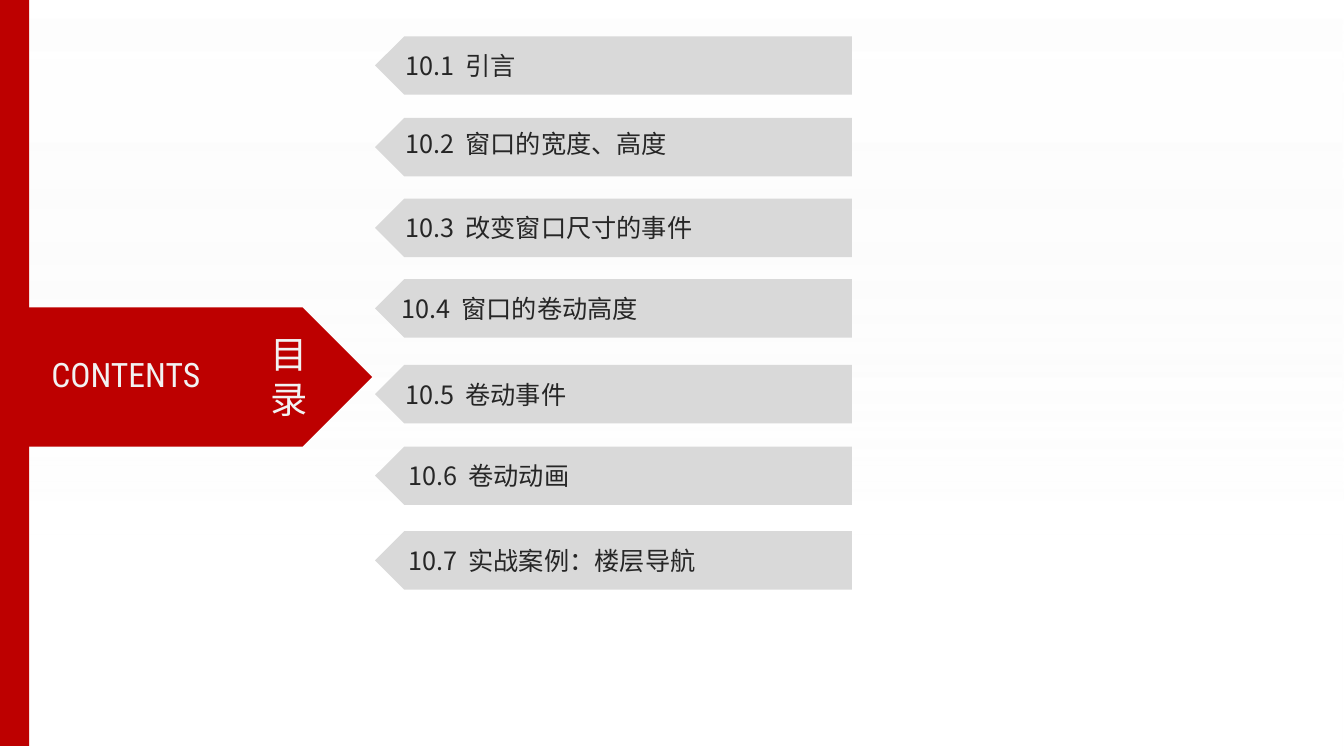
from lxml.etree import SubElement
from pptx import Presentation
from pptx.dml.color import RGBColor
from pptx.enum.shapes import MSO_SHAPE
from pptx.enum.text import MSO_ANCHOR, PP_ALIGN
from pptx.oxml.ns import qn
from pptx.util import Inches, Pt

COLORS = {"red": "BD0000", "bar": "D9D9D9", "ink": "262626", "light": "F2F2F2", "white": "FFFFFF"}
CHINESE_FONT = "Noto Sans CJK SC"
LATIN_FONT = "Roboto Condensed"

CHAPTERS = [
    ("10.1", "引言", 0.36, 0.3, 0.14),
    ("10.2", "窗口的宽度、高度", 1.17, 0.3, 0.1),
    ("10.3", "改变窗口尺寸的事件", 1.97, 0.3, 0.14),
    ("10.4", "窗口的卷动高度", 2.77, 0.26, 0.14),
    ("10.5", "卷动事件", 3.62, 0.3, 0.14),
    ("10.6", "卷动动画", 4.43, 0.33, 0.14),
    ("10.7", "实战案例：楼层导航", 5.27, 0.33, 0.14),
]


def add_block(slide, kind, box, color):
    """Add a plain filled shape in the given box."""
    shape = slide.shapes.add_shape(kind, *map(Inches, box))
    shape.shadow.inherit = False
    shape.line.fill.background()
    shape.fill.solid()
    shape.fill.fore_color.rgb = RGBColor.from_string(COLORS[color])
    return shape


def add_text(slide, box, pieces, size, color, font=CHINESE_FONT, inset=(0, 0), spacing=None):
    """Add one paragraph made of (text, tracking) pieces and return it."""
    frame = slide.shapes.add_textbox(*map(Inches, box)).text_frame
    frame.word_wrap = True
    frame.vertical_anchor = MSO_ANCHOR.TOP
    frame.margin_left = frame.margin_right = Inches(inset[0])
    frame.margin_top = frame.margin_bottom = Inches(inset[1])
    paragraph = frame.paragraphs[0]
    paragraph.line_spacing = spacing
    for text, tracking in pieces:
        run = paragraph.add_run()
        run.text = text
        run.font.size = Pt(size)
        run.font.name = font
        run.font.color.rgb = RGBColor.from_string(COLORS[color])
        properties = run.font._element
        SubElement(properties, qn("a:ea")).set("typeface", font)
        if tracking:
            properties.set("spc", str(tracking))
    return paragraph


def add_backdrop(slide, box):
    """Fill the box with a soft gradient that fades out downwards."""
    shape = add_block(slide, MSO_SHAPE.RECTANGLE, box, "white")
    shape.fill.gradient()
    shape.fill.gradient_angle = 270
    stops = shape.fill.gradient_stops
    for stop, color, position, alpha in zip(stops, ("white", "light"), (0, 0.71), (55000, 0)):
        stop.color.rgb = RGBColor.from_string(COLORS[color])
        stop.position = position
        SubElement(stop._gs[0], qn("a:alpha")).set("val", str(alpha))


def add_contents_banner(slide, box):
    """Draw the red arrow with its two headings."""
    left, top, width, height = box
    add_block(slide, MSO_SHAPE.PENTAGON, box, "red")
    add_text(slide, (left + 0.51, top + 0.46, 1.8, 0.4), [("CONTENTS", 0)], 24, "light", LATIN_FONT)
    heading = add_text(slide, (left + 2.57, top + 0.19, 0.59, 0.55), [("目录", 0)], 26.6, "light",
                       inset=(0.1, 0.05))
    heading.alignment = PP_ALIGN.CENTER


def add_chapter(slide, box, number, title, indent, drop):
    """Draw one grey bar pointing left with its chapter label."""
    left, top, width, height = box
    bar = add_block(slide, MSO_SHAPE.PENTAGON, box, "bar")
    bar._element.spPr.find(qn("a:xfrm")).set("flipH", "1")
    add_text(slide, (left + indent, top + drop, 4.21, 0.3),
             [(number, 0), (" ", 400), (title, 0)], 18, "ink")


def main():
    """Build the contents slide and save it."""
    presentation = Presentation()
    presentation.slide_width = Inches(13.33)
    presentation.slide_height = Inches(7.5)
    slide = presentation.slides.add_slide(presentation.slide_layouts[6])
    add_backdrop(slide, (0, 0, 13.33, 7.5))
    add_contents_banner(slide, (0, 3.05, 3.69, 1.38))
    add_block(slide, MSO_SHAPE.RECTANGLE, (0, 0, 0.29, 7.4), "red")
    for number, title, top, indent, drop in CHAPTERS:
        add_chapter(slide, (3.72, top, 4.73, 0.58), number, title, indent, drop)
    presentation.save("out.pptx")


if __name__ == "__main__":
    main()
